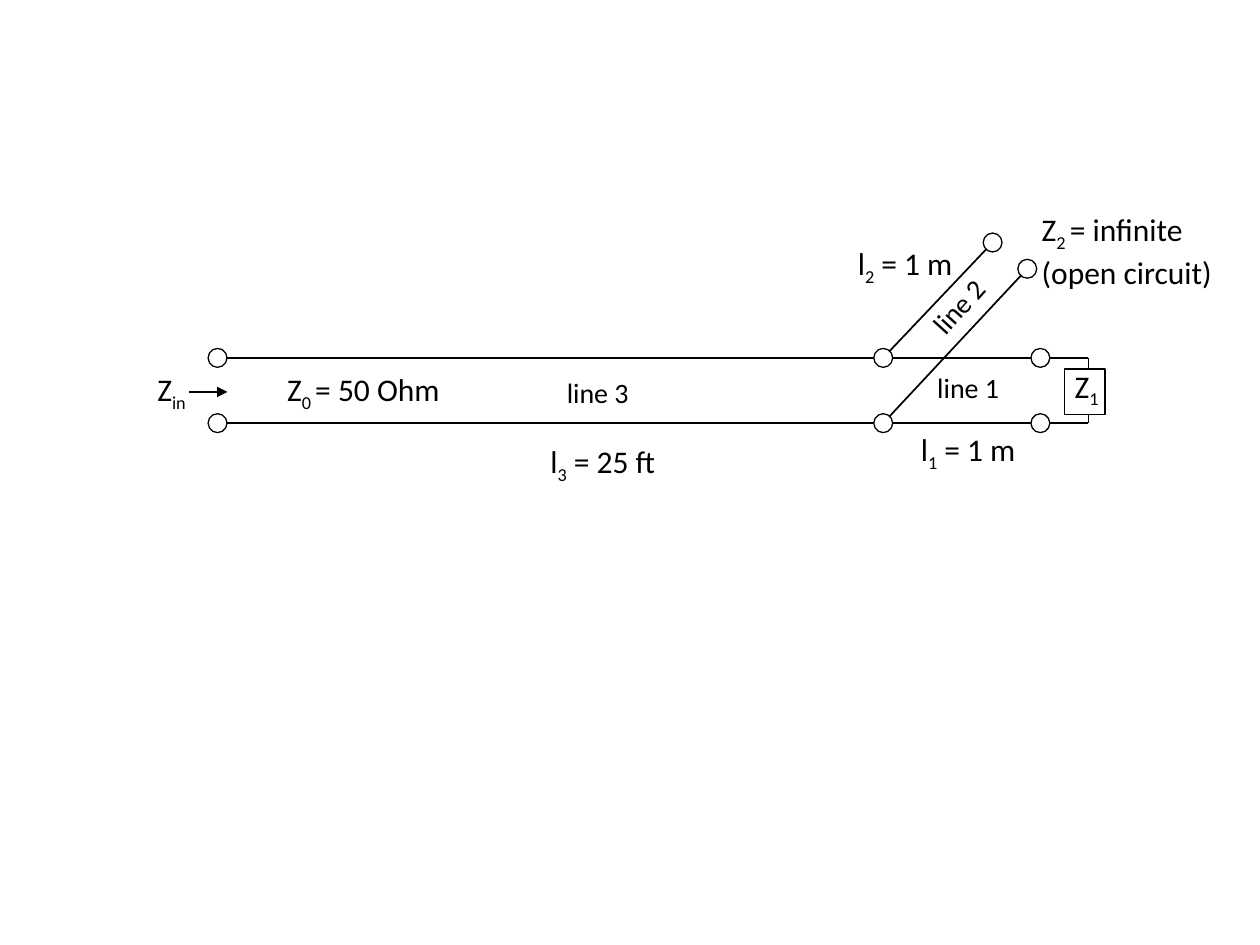
"""Builds a slide with a transmission line, its open stub and its loads."""
import pptx
import pptx.dml.color
import pptx.enum.shapes
import pptx.enum.text
import pptx.oxml
import pptx.oxml.ns
import pptx.util

Pt = pptx.util.Pt
COLORS = {"ink": "000000", "paper": "FFFFFF"}
FONT = "Calibri"
TOP, BOTTOM = 204.5, 241.8
SOURCE_X, JUNCTION_X, LOAD_X, END_X = 124.3, 504.7, 594.5, 622
STUB_ENDS = [(567.2, 138.6), (587, 153.6)]
DIAMETER = 10.8

WIRES = [
    (LOAD_X, TOP, END_X, TOP),
    (LOAD_X, BOTTOM, END_X, BOTTOM),
    (END_X, TOP, END_X, BOTTOM),
    (SOURCE_X, TOP, LOAD_X, TOP),
    (SOURCE_X, BOTTOM, LOAD_X, BOTTOM),
    (JUNCTION_X, TOP, *STUB_ENDS[0]),
    (JUNCTION_X, BOTTOM, *STUB_ENDS[1]),
]
TERMINALS = [(x, y) for x in (SOURCE_X, JUNCTION_X, LOAD_X) for y in (TOP, BOTTOM)]
LOAD_BOX = (608.4, 210.8, 23, 26)
ARROW = (108, 224, 130, 224)

# Each label: paragraphs of (base, subscript, rest), box, format
LABELS = [
    ([("Z", "1", "")], (607, 205.9, 29.5, 29), {}),
    ([("Z", "2 ", "= infinite"), ("(open circuit)", "", "")], (588.2, 116.6, 113, 51), {}),
    ([("l", "1", " = 1 m")], (519.1, 242, 69.8, 29), {}),
    ([("l", "2", " = 1 m")], (483.1, 136.1, 69.8, 29), {}),
    ([("l", "3", " = 25 ft")], (307.4, 249.1, 79.2, 29), {}),
    ([("Z", "0 ", "= 50 Ohm")], (157, 208.1, 103.7, 29), {}),
    ([("line 1", "", "")], (528.5, 208.1, 50.4, 26.6), {"size": 16}),
    ([("line 3", "", "")], (316.8, 211, 50.4, 26.6), {"size": 16}),
    ([("line 2", "", "")], (522.7, 161.3, 50.4, 26.6), {"size": 16, "rotation": 312}),
    ([("Z", "in", "")], (82.8, 208.1, 32.4, 29), {}),
]


def rgb(name):
    return pptx.dml.color.RGBColor.from_string(COLORS[name])


def add_line(slide, ends, arrow=False):
    sp = slide.shapes.add_connector(
        pptx.enum.shapes.MSO_CONNECTOR.STRAIGHT, *(Pt(v) for v in ends))
    sp.line.color.rgb = rgb("ink")
    sp.line.width = Pt(1)
    if arrow:
        tail = pptx.oxml.parse_xml(
            f'<a:tailEnd {pptx.oxml.ns.nsdecls("a")} type="triangle"/>')
        sp.line._get_or_add_ln().append(tail)
    sp._element.spPr.append(
        pptx.oxml.parse_xml(f'<a:effectLst {pptx.oxml.ns.nsdecls("a")}/>'))


def add_outline(slide, kind, box):
    sp = slide.shapes.add_shape(kind, *(Pt(v) for v in box))
    sp.shadow.inherit = False
    sp.fill.solid()
    sp.fill.fore_color.rgb = rgb("paper")
    sp.line.color.rgb = rgb("ink")
    sp.line.width = Pt(0.75)


def add_text(slide, paragraphs, box, size=18, rotation=0, color="ink"):
    sp = slide.shapes.add_textbox(*(Pt(v) for v in box))
    sp.rotation = rotation
    tf = sp.text_frame
    tf.word_wrap = False
    tf.auto_size = pptx.enum.text.MSO_AUTO_SIZE.SHAPE_TO_FIT_TEXT
    for i, parts in enumerate(paragraphs):
        p = tf.add_paragraph() if i else tf.paragraphs[0]
        for text, baseline in zip(parts, (0, -25000, 0)):
            if not text:
                continue
            r = p.add_run()
            r.text = text
            r.font.name = FONT
            r.font.size = Pt(size)
            r.font.color.rgb = rgb(color)
            if baseline:
                r._r.get_or_add_rPr().set("baseline", str(baseline))


def main():
    prs = pptx.Presentation()
    prs.slide_width, prs.slide_height = Pt(720), Pt(540)
    slide = prs.slides.add_slide(prs.slide_layouts[6])
    shapes = pptx.enum.shapes.MSO_SHAPE
    for ends in WIRES:
        add_line(slide, ends)
    for x, y in TERMINALS + STUB_ENDS:
        box = (x - DIAMETER / 2, y - DIAMETER / 2, DIAMETER, DIAMETER)
        add_outline(slide, shapes.OVAL, box)
    add_outline(slide, shapes.RECTANGLE, LOAD_BOX)
    for paragraphs, box, style in LABELS:
        add_text(slide, paragraphs, box, **style)
    add_line(slide, ARROW, arrow=True)
    prs.save("out.pptx")


if __name__ == "__main__":
    main()
